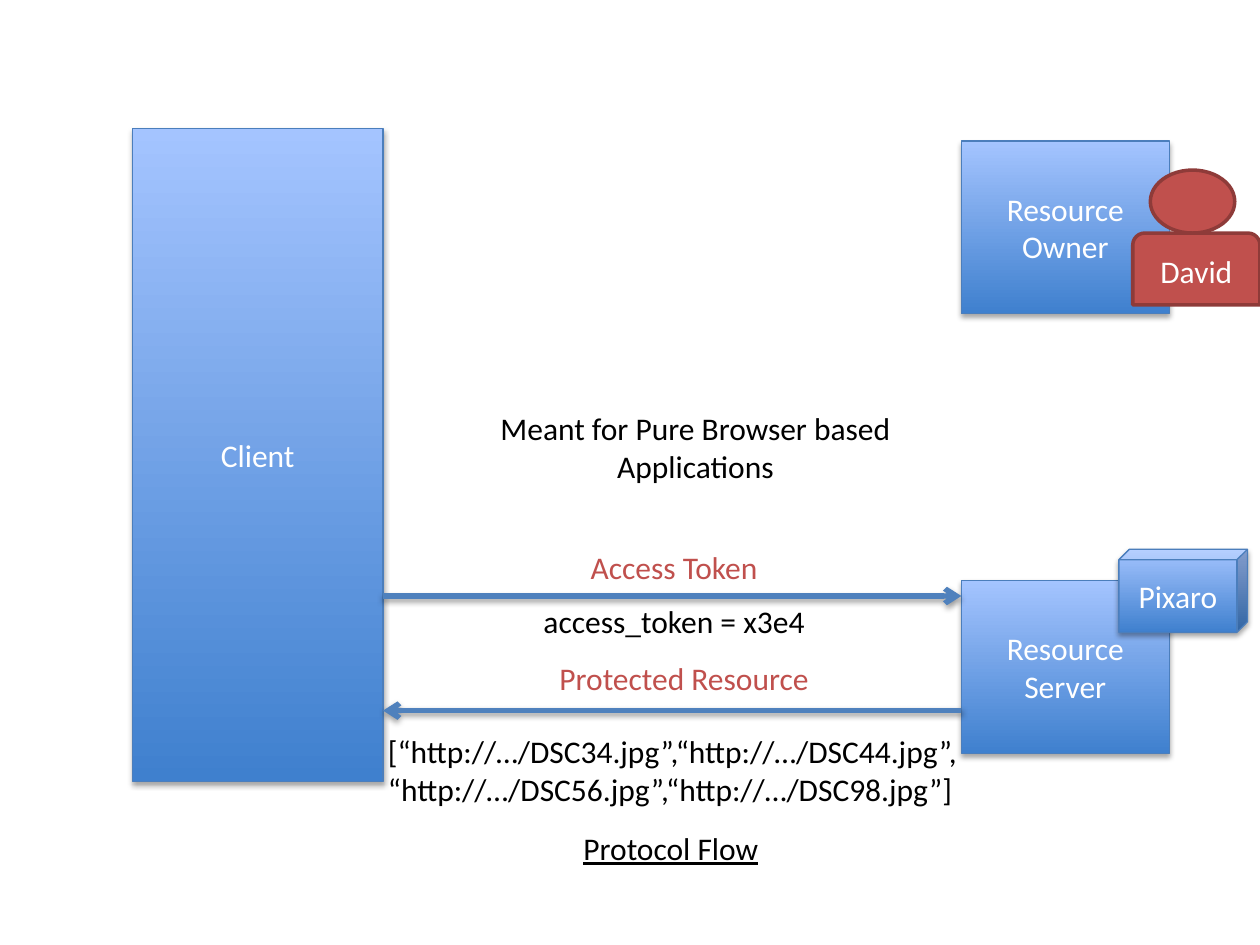
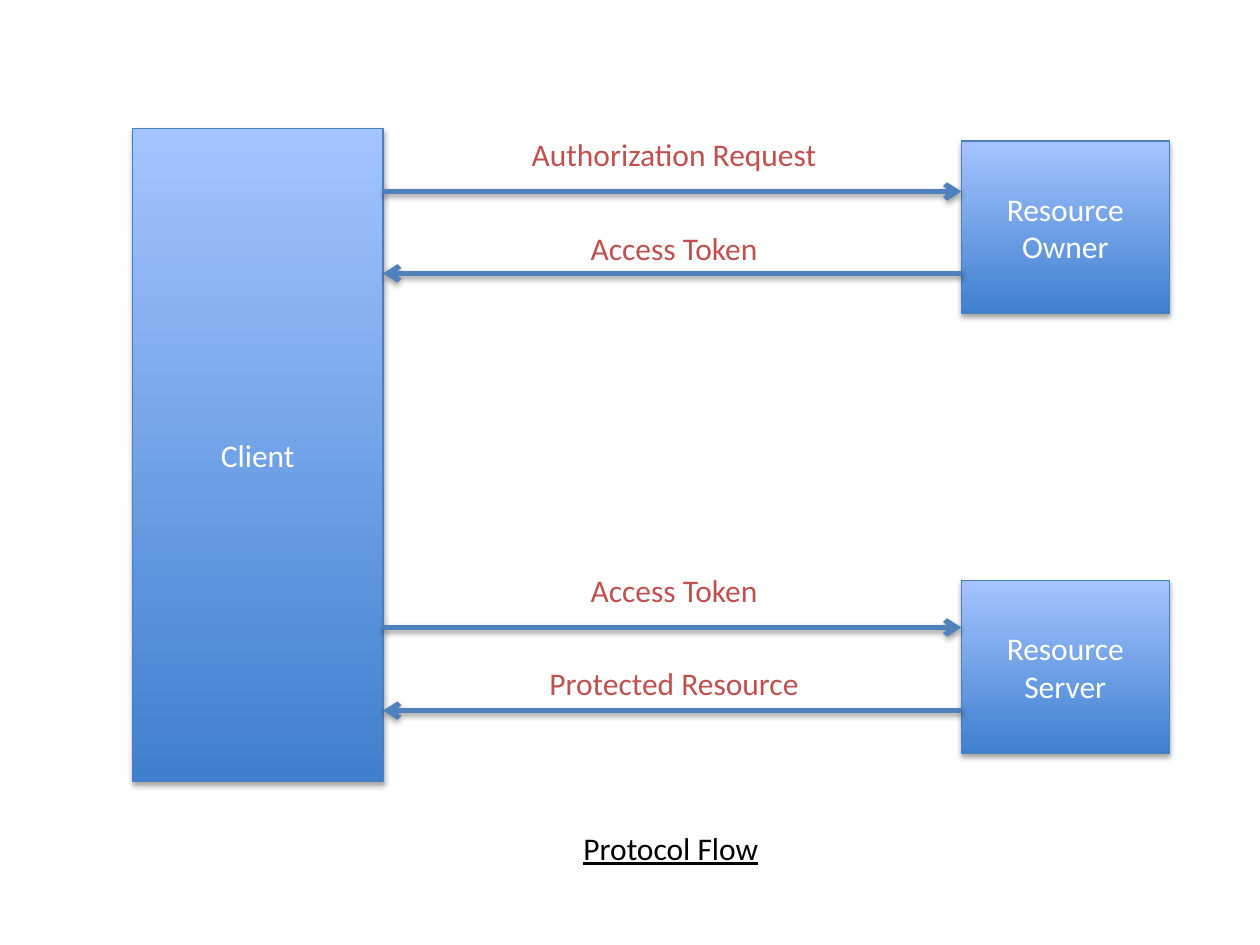
from lxml import etree
from pptx import Presentation
from pptx.dml.color import RGBColor
from pptx.enum.shapes import MSO_CONNECTOR, MSO_SHAPE
from pptx.enum.text import MSO_ANCHOR, MSO_AUTO_SIZE, PP_ALIGN
from pptx.oxml.ns import qn
from pptx.util import Inches, Pt

RECTANGLE = MSO_SHAPE.RECTANGLE
OVAL = MSO_SHAPE.OVAL
ROUNDED_TOP = MSO_SHAPE.ROUND_2_SAME_RECTANGLE
CUBE = MSO_SHAPE.CUBE
STRAIGHT = MSO_CONNECTOR.STRAIGHT
MIDDLE = MSO_ANCHOR.MIDDLE
GROW = MSO_AUTO_SIZE.SHAPE_TO_FIT_TEXT
LEFT = PP_ALIGN.LEFT
CENTER = PP_ALIGN.CENTER

FONT = "Calibri"
BLACK, WHITE, RED, DARK_RED = "000000", "FFFFFF", "C0504D", "8E3B39"
BOX_BOTTOM, BOX_TOP, BOX_EDGE, ARROW_BLUE = "3F80CE", "A4C4FF", "4B7EBC", "4F81BD"
CLIENT_LEFT, CLIENT_WIDTH = 1.05, 1.99
CLIENT_EDGE = CLIENT_LEFT + CLIENT_WIDTH
RESOURCE_EDGE = 7.63
LABEL_LEFT = 3.88


def color(value):
    return RGBColor.from_string(value)


def write(frame, lines, ink, align=CENTER, underline=None):
    frame.word_wrap = True
    for index, line in enumerate(lines):
        para = frame.paragraphs[0] if index == 0 else frame.add_paragraph()
        para.alignment = align
        span = para.add_run()
        span.text = line
        span.font.name = FONT
        span.font.size = Pt(18)
        span.font.color.rgb = color(ink)
        span.font.underline = underline


def add_text(page, lines, left, top, width, height=0.4, ink=BLACK, **style):
    box = page.shapes.add_textbox(Inches(left), Inches(top), Inches(width), Inches(height))
    box.text_frame.auto_size = GROW
    write(box.text_frame, lines, ink, **style)


def add_label(page, text, top, ink=RED, left=LABEL_LEFT):
    add_text(page, [text], left, top, 2.94, ink=ink)


def add_shadow(properties, distance, opacity):
    effects = etree.SubElement(properties, qn("a:effectLst"))
    shadow = etree.SubElement(effects, qn("a:outerShdw"), blurRad=str(Pt(3.1)),
                              dist=str(Pt(distance)), dir="5400000", rotWithShape="0")
    tint = etree.SubElement(shadow, qn("a:srgbClr"), val=BLACK)
    etree.SubElement(tint, qn("a:alpha"), val=str(opacity * 1000))


def add_outlined(shapes, kind, left, top, width, height, edge, weight, text):
    shape = shapes.add_shape(kind, Inches(left), Inches(top), Inches(width), Inches(height))
    shape.line.color.rgb = color(edge)
    shape.line.width = Pt(weight)
    shape.text_frame.vertical_anchor = MIDDLE
    if text:
        write(shape.text_frame, [text], WHITE)
    return shape


def add_box(page, text, left, top, width, height, kind=RECTANGLE):
    box = add_outlined(page.shapes, kind, left, top, width, height, BOX_EDGE, 0.75, text)
    box.fill.gradient()
    box.fill.gradient_angle = 90
    for stop, position, shade in zip(box.fill.gradient_stops, (0, 1), (BOX_BOTTOM, BOX_TOP)):
        stop.position = position
        stop.color.rgb = color(shade)
    add_shadow(box._element.spPr, 1.8, 35)
    return box


def add_arrow(page, y, to_client=False):
    start, end = CLIENT_EDGE, RESOURCE_EDGE
    if to_client:
        start, end = end, start
    arrow = page.shapes.add_connector(STRAIGHT, Inches(start), Inches(y), Inches(end), Inches(y))
    arrow.line.color.rgb = color(ARROW_BLUE)
    arrow.line.width = Pt(3)
    etree.SubElement(arrow.line._get_or_add_ln(), qn("a:tailEnd"), type="arrow")
    add_shadow(arrow._element.spPr, 1.6, 38)


def add_person(page, name):
    person = page.shapes.add_group_shape()
    for kind, place, text in ((OVAL, (9.13, 1.35, 0.67, 0.5), ""),
                              (ROUNDED_TOP, (8.99, 1.85, 1.01, 0.57), name)):
        part = add_outlined(person.shapes, kind, *place, DARK_RED, 2, text)
        part.fill.solid()
        part.fill.fore_color.rgb = color(RED)
        part.shadow.inherit = False


def add_flow_page(deck):
    page = deck.slides.add_slide(deck.slide_layouts.get_by_name("Blank"))
    add_box(page, "Client", CLIENT_LEFT, 1.02, CLIENT_WIDTH, 5.18)
    for text, top in (("Resource Owner", 1.12), ("Resource Server", 4.61)):
        add_box(page, text, RESOURCE_EDGE, top, 1.65, 1.37)
    add_text(page, ["Protocol Flow"], 3.4, 6.53, 3.85, underline=True)
    return page


def add_browser_flow(deck):
    page = add_flow_page(deck)
    add_text(page, ["Meant for Pure Browser based Applications"], 3.79, 3.2, 3.46, 0.71)
    add_label(page, "Access Token", 4.3)
    add_arrow(page, 5.64, to_client=True)
    add_label(page, "Protected Resource", 5.18, left=3.96)
    add_label(page, "access_token = x3e4", 4.73, ink=BLACK)
    add_text(page, ["[“http://…/DSC34.jpg”,“http://…/DSC44.jpg”,",
                    "“http://…/DSC56.jpg”,“http://…/DSC98.jpg”]"],
             2.98, 5.76, 4.92, 0.71, align=LEFT)
    add_arrow(page, 4.73)
    add_person(page, "David")
    photo_service = add_box(page, "Pixaro", 8.88, 4.36, 1.02, 0.66, CUBE)
    photo_service.adjustments[0] = 0.126


def add_general_flow(deck):
    page = add_flow_page(deck)
    for text, label_top, arrow_y, to_client in (
        ("Authorization Request", 1.02, 1.52, False),
        ("Access Token", 1.77, 2.17, True),
        ("Access Token", 4.48, 4.98, False),
        ("Protected Resource", 5.22, 5.64, True),
    ):
        add_arrow(page, arrow_y, to_client)
        add_label(page, text, label_top)


def main():
    deck = Presentation()
    deck.slide_width = Inches(10)
    deck.slide_height = Inches(7.5)
    add_browser_flow(deck)
    add_general_flow(deck)
    deck.save("out.pptx")


if __name__ == "__main__":
    main()
